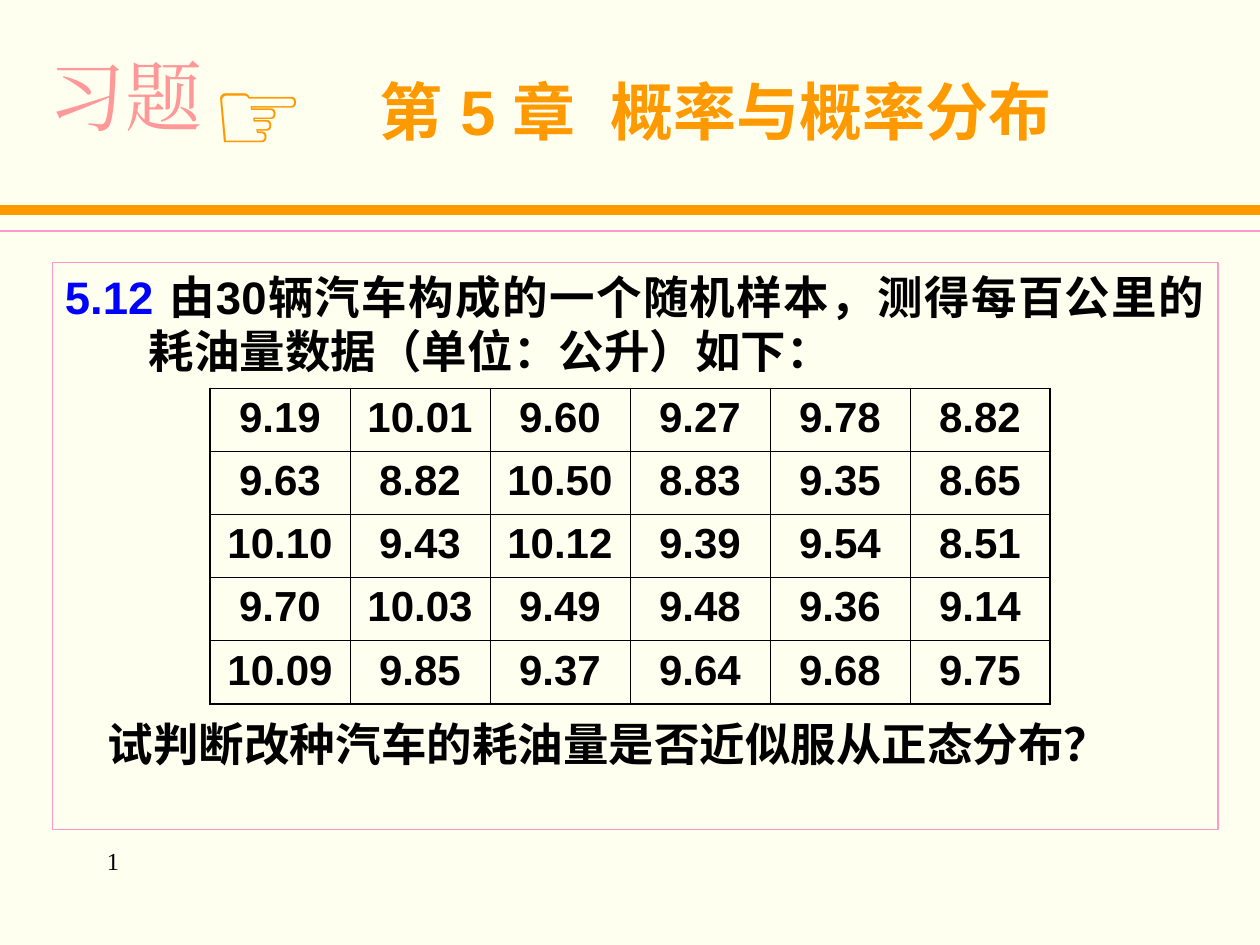
from lxml.etree import SubElement
from pptx import Presentation
from pptx.dml.color import RGBColor
from pptx.enum.shapes import MSO_CONNECTOR as CONN, MSO_SHAPE as SHAPE
from pptx.enum.text import MSO_ANCHOR as ANCHOR, PP_ALIGN as ALIGN
from pptx.oxml.ns import qn
from pptx.util import Emu, Pt

PX = 7620
WIDTH, HEIGHT = 1200, 900
CREAM = RGBColor(0xFF, 0xFF, 0xEF)
ORANGE = RGBColor(0xFF, 0x99, 0x00)
PINK = RGBColor(0xFF, 0x99, 0xCC)
SALMON = RGBColor(0xFF, 0x99, 0x99)
BLUE = RGBColor(0x00, 0x00, 0xFF)
BLACK = RGBColor(0x00, 0x00, 0x00)
SANS, SERIF, CJK = "Arial", "Times New Roman", "Noto Sans CJK SC"
THICK, THIN = 1.08, 0.45
FUEL_USE = [
    ["9.19", "10.01", "9.60", "9.27", "9.78", "8.82"],
    ["9.63", "8.82", "10.50", "8.83", "9.35", "8.65"],
    ["10.10", "9.43", "10.12", "9.39", "9.54", "8.51"],
    ["9.70", "10.03", "9.49", "9.48", "9.36", "9.14"],
    ["10.09", "9.85", "9.37", "9.64", "9.68", "9.75"],
]


def px(*lengths):
    """Turn pixel lengths into a list of EMU lengths."""
    return [Emu(n * PX) for n in lengths]


def add_run(p, text, *, size, font=SANS, color=BLACK, bold=True):
    """Append a formatted run to a paragraph."""
    r = p.add_run()
    r.text = text
    r.font.size, r.font.name, r.font.bold = Pt(size), font, bold
    r.font.color.rgb = color
    SubElement(r._r.get_or_add_rPr(), qn("a:ea"), typeface=font)


def add_text(slide, box, text, *, align=ALIGN.LEFT, anchor=ANCHOR.TOP, **fmt):
    """Place a one-paragraph text box."""
    tf = slide.shapes.add_textbox(*px(*box)).text_frame
    tf.word_wrap, tf.vertical_anchor = True, anchor
    p = tf.paragraphs[0]
    p.alignment = align
    add_run(p, text, **fmt)


def add_rule(slide, y, color, width):
    """Draw a horizontal line across the slide."""
    line = slide.shapes.add_connector(CONN.STRAIGHT, *px(0, y, WIDTH, y))
    line.line.color.rgb, line.line.width = color, Pt(width)
    SubElement(line._element.spPr, qn("a:effectLst"))


def add_header(slide, x, y):
    """Place the section mark, the chapter title and the two rules."""
    add_rule(slide, y + 170, ORANGE, 6)
    add_rule(slide, y + 190, PINK, 0.75)
    add_text(slide, (x, y + 10, 180, 101), "习题", align=ALIGN.CENTER,
             size=44, font=SERIF, color=SALMON, bold=False)
    add_text(slide, (x + 160, y + 10, 120, 132), "☞", size=60, color=ORANGE)
    add_text(slide, (x + 320, y, 820, 150), "第 5 章  概率与概率分布",
             anchor=ANCHOR.MIDDLE, size=36, color=ORANGE)


def set_indent(p, left, first):
    """Set the left and first-line indents of a paragraph."""
    pPr = p._p.get_or_add_pPr()
    pPr.set("marL", str(left * PX))
    pPr.set("indent", str(first * PX))


def add_exercise(slide, x, y, w, h):
    """Place the framed exercise with its data table."""
    sp = slide.shapes.add_shape(SHAPE.RECTANGLE, *px(x, y, w, h))
    sp.shadow.inherit = False
    sp.fill.background()
    sp.line.color.rgb, sp.line.width = PINK, Pt(0.75)
    tf = sp.text_frame
    tf.word_wrap, tf.vertical_anchor = True, ANCHOR.TOP
    p = tf.paragraphs[0]
    p.alignment = ALIGN.JUSTIFY
    set_indent(p, 80, -80)
    add_run(p, "5.12 ", size=26, color=BLUE)
    add_run(p, "由30辆汽车构成的一个随机样本，测得每百公里的耗油量数据（单位：公升）如下：", size=26)
    p = tf.add_paragraph()
    p.alignment, p.space_before = ALIGN.JUSTIFY, Pt(193)
    set_indent(p, 41, 0)
    add_run(p, "试判断改种汽车的耗油量是否近似服从正态分布？", size=26, font=CJK)
    add_data_table(slide, x + 150, y + 120, w - 310, 300, FUEL_USE)


def set_borders(cell, **widths):
    """Draw the cell borders, given a width for each side."""
    tcPr = cell._tc.get_or_add_tcPr()
    for side, width in widths.items():
        ln = SubElement(tcPr, qn(f"a:ln{side}"), w=str(Pt(width)))
        fill = SubElement(ln, qn("a:solidFill"))
        SubElement(fill, qn("a:srgbClr"), val=str(BLACK))


def add_data_table(slide, x, y, w, h, rows):
    """Place a grid of values with a thicker outer border."""
    n, m = len(rows), len(rows[0])
    table = slide.shapes.add_table(n, m, *px(x, y, w, h)).table
    table.first_row = table.horz_banding = False
    for i, row in enumerate(rows):
        for j, value in enumerate(row):
            cell = table.cell(i, j)
            set_borders(cell,
                        L=THICK if j == 0 else THIN,
                        R=THICK if j == m - 1 else THIN,
                        T=THICK if i == 0 else THIN,
                        B=THICK if i == n - 1 else THIN)
            cell.fill.background()
            p = cell.text_frame.paragraphs[0]
            p.alignment = ALIGN.CENTER
            add_run(p, value, size=24)


def main():
    """Build the slide and save it."""
    prs = Presentation()
    prs.slide_width, prs.slide_height = px(WIDTH, HEIGHT)
    slide = prs.slides.add_slide(prs.slide_layouts[6])
    slide.background.fill.solid()
    slide.background.fill.fore_color.rgb = CREAM
    add_header(slide, 30, 30)
    add_exercise(slide, 50, 250, 1110, 540)
    add_text(slide, (90, 800, 250, 60), "1", size=14, font=SERIF, bold=False)
    prs.save("out.pptx")


if __name__ == "__main__":
    main()
